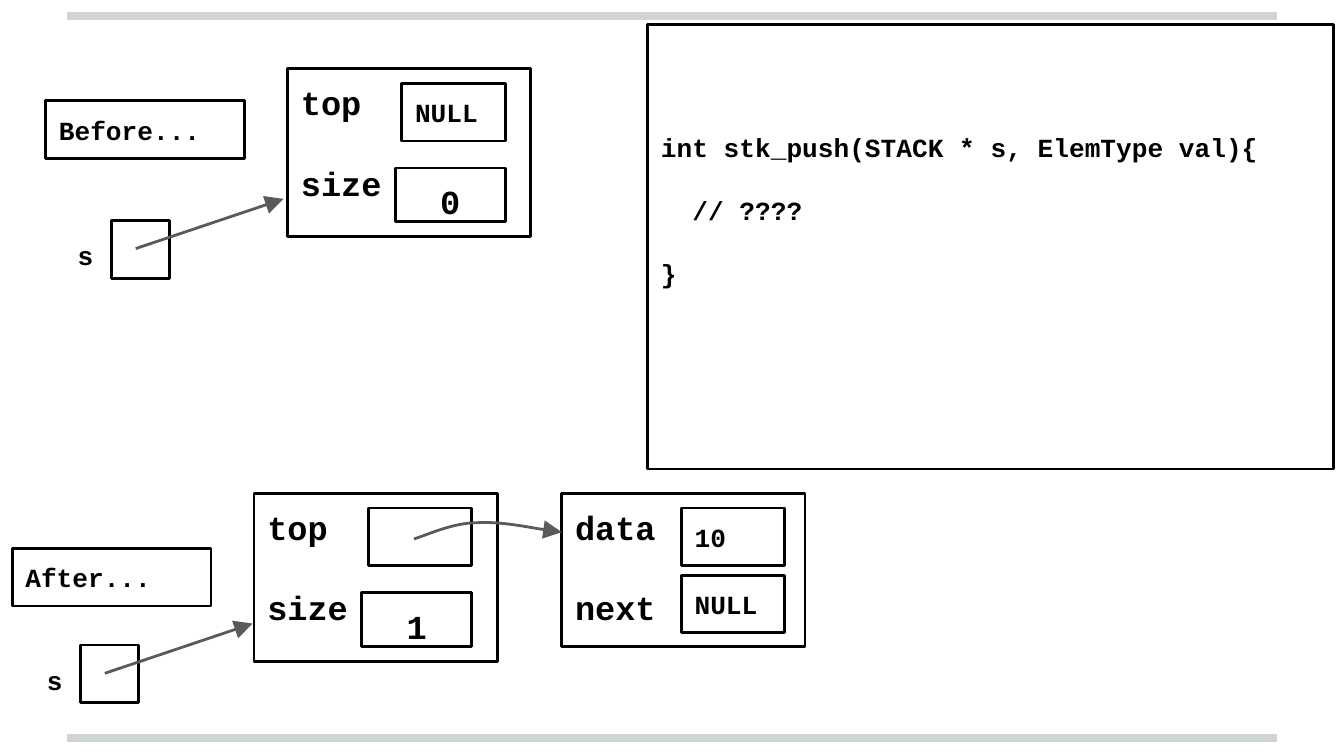
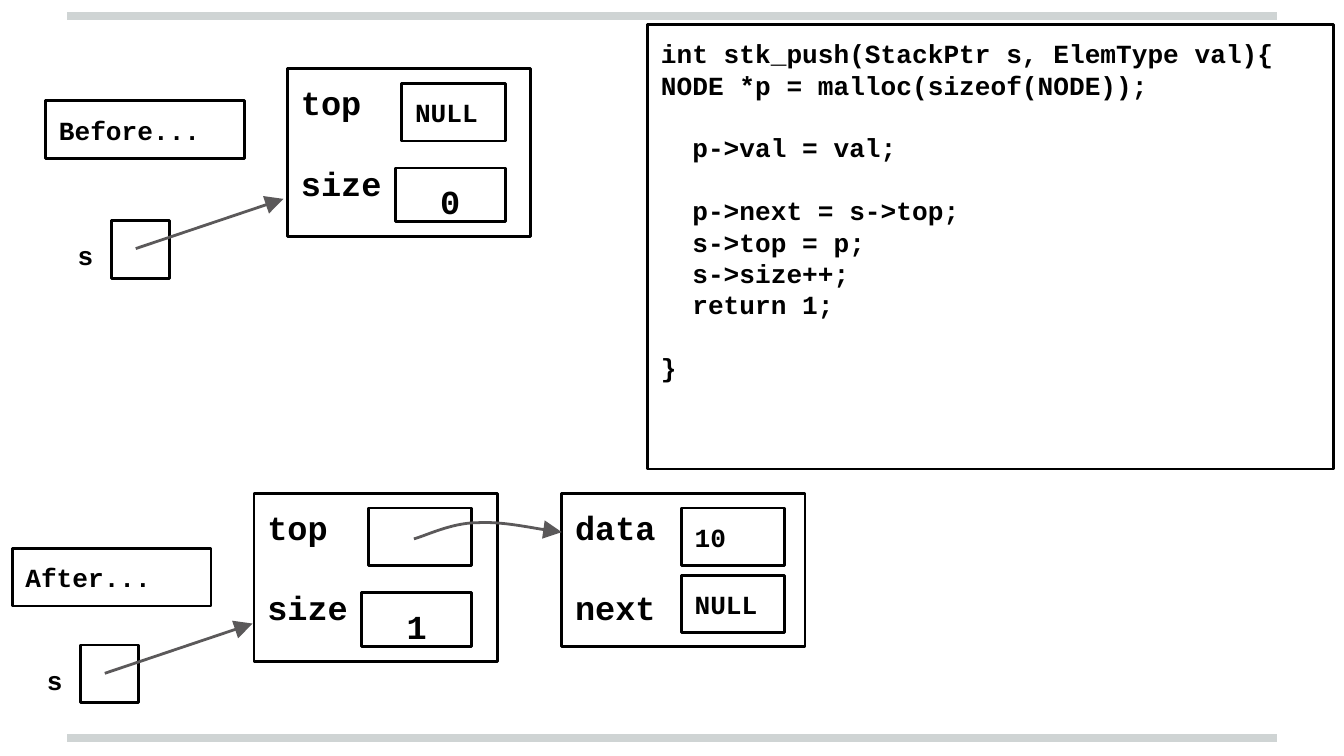
from lxml import etree
from pptx import Presentation
from pptx.dml.color import RGBColor
from pptx.enum.shapes import MSO_CONNECTOR, MSO_SHAPE
from pptx.enum.text import MSO_ANCHOR, PP_ALIGN
from pptx.oxml.ns import qn
from pptx.util import Inches, Pt

STRAIGHT = MSO_CONNECTOR.STRAIGHT
RECT = MSO_SHAPE.RECTANGLE
TOP = MSO_ANCHOR.TOP
LEFT, CENTER = PP_ALIGN.LEFT, PP_ALIGN.CENTER

COLORS = {"ink": "000000", "arrow": "5B595A", "rule": "CFD4D4"}
FONT = "Courier New"
LINE_PITCH = 1.2
INSET = 0.1
CELL_W, CELL_H = 0.77, 0.43

PUSH_STUB = """


int stk_push(STACK * s, ElemType val){

  // ????

}"""
PUSH_SOLUTION = """int stk_push(StackPtr s, ElemType val){
NODE *p = malloc(sizeof(NODE));

  p->val = val;

  p->next = s->top;
  s->top = p;
  s->size++;
  return 1;

}"""


def color(name):
    """Return the named palette colour."""
    return RGBColor.from_string(COLORS[name])


def style_line(shape, name, width):
    """Set the colour and width of a line or outline."""
    shape.line.color.rgb = color(name)
    shape.line.width = Pt(width)


def add_arrowhead(shape):
    """Put a large triangle at the end of a line."""
    outline = shape.line._get_or_add_ln()
    etree.SubElement(outline, qn("a:tailEnd"), type="triangle", w="lg", len="lg")


def write_lines(frame, text, size, align=LEFT):
    """Write text line by line, turning empty lines into spacing."""
    frame.word_wrap = True
    frame.vertical_anchor = TOP
    frame.margin_left = frame.margin_right = Inches(INSET)
    frame.margin_top = frame.margin_bottom = Inches(INSET)
    pitch = Pt(size * LINE_PITCH)
    skipped, started = 0, False
    for line in text.split("\n"):
        if not line:
            skipped += 1
            continue
        paragraph = frame.add_paragraph() if started else frame.paragraphs[0]
        if started:
            paragraph.space_before = pitch * skipped
        else:
            frame.margin_top = Inches(INSET) + pitch * skipped
        paragraph.alignment = align
        paragraph.line_spacing = 1.0
        run = paragraph.add_run()
        run.text = line
        run.font.name = FONT
        run.font.size = Pt(size)
        run.font.bold = True
        run.font.color.rgb = color("ink")
        skipped, started = 0, True


def add_box(slide, x, y, width, height, text="", size=14, align=LEFT):
    """Add an outlined box with optional text."""
    box = slide.shapes.add_shape(RECT, Inches(x), Inches(y), Inches(width), Inches(height))
    box.shadow.inherit = False
    box.fill.background()
    style_line(box, "ink", 1.5)
    if text:
        write_lines(box.text_frame, text, size, align)


def add_line(slide, start, end, name, width):
    """Add a straight line without a shadow."""
    line = slide.shapes.add_connector(STRAIGHT, *(Inches(v) for v in (*start, *end)))
    style_line(line, name, width)
    etree.SubElement(line.element.spPr, qn("a:effectLst"))
    return line


def add_curved_arrow(slide, start, controls):
    """Add a curved arrow through cubic control points."""
    builder = slide.shapes.build_freeform(Inches(start[0]), Inches(start[1]))
    builder.add_line_segments([(Inches(x), Inches(y)) for x, y in controls], close=False)
    curve = builder.convert_to_shape()
    curve.shadow.inherit = False
    curve.fill.background()
    style_line(curve, "arrow", 1.5)
    add_arrowhead(curve)
    segments = list(curve.element.iter(qn("a:lnTo")))
    for first in range(0, len(segments), 3):
        bezier = etree.Element(qn("a:cubicBezTo"))
        segments[first].addprevious(bezier)
        for segment in segments[first:first + 3]:
            bezier.append(segment[0])
            segment.getparent().remove(segment)


def add_stack(slide, x, y, top_value, size_value):
    """Draw the stack record with its top and size fields."""
    add_box(slide, x, y, 1.81, 1.25, "top\n\nsize", 18)
    add_box(slide, x + 0.85, y + 0.11, CELL_W, CELL_H, top_value)
    add_box(slide, x + 0.8, y + 0.74, 0.82, 0.4, size_value, 18, CENTER)


def add_node(slide, x, y):
    """Draw the list node with its data and next fields."""
    add_box(slide, x, y, 1.81, 1.14, "data\n\nnext", 18)
    for row, value in enumerate(("10", "NULL")):
        add_box(slide, x + 0.89, y + 0.11 + 0.5 * row, CELL_W, CELL_H, value)


def add_pointer(slide, x, y):
    """Draw the pointer s and its arrow to the stack."""
    label = slide.shapes.add_textbox(Inches(x - 0.35), Inches(y + 0.04), Inches(0.4), Inches(0.29))
    write_lines(label.text_frame, "s", 14)
    add_box(slide, x, y, CELL_H, CELL_H)
    add_arrowhead(add_line(slide, (x + 0.18, y + 0.21), (x + 1.28, y - 0.16), "arrow", 1.5))


def add_state(slide, x, y, caption, caption_y, pointer_x, top_value, size_value):
    """Draw one state of the stack with its caption and pointer."""
    add_stack(slide, x, y, top_value, size_value)
    add_box(slide, x - 1.8, y + caption_y, 1.48, CELL_H, caption)
    add_pointer(slide, x + pointer_x, y + 1.13)


def add_push_slide(prs, layout, code):
    """Add a slide showing the stack before and after a push."""
    slide = prs.slides.add_slide(layout)
    add_state(slide, 2.14, 0.51, "Before...", 0.24, -1.31, "NULL", "0")
    add_state(slide, 1.89, 3.67, "After...", 0.41, -1.29, "", "1")
    add_node(slide, 4.18, 3.67)
    add_curved_arrow(slide, (3.08, 4.01), [
        (3.16, 3.99), (3.36, 3.89), (3.55, 3.89),
        (3.73, 3.88), (4.07, 3.95), (4.18, 3.96),
    ])
    add_box(slide, 4.82, 0.18, 5.1, 3.31, code)
    return slide


def add_layout_rules(slide, layout):
    """Place the top and bottom rules on the shared layout."""
    for y in (5.49, 0.12):
        rule = add_line(slide, (0.5, y), (9.5, y), "rule", 4)
        layout.shapes.element.append(rule.element)


def main():
    """Build and save the two slides."""
    prs = Presentation()
    prs.slide_width = Inches(10)
    prs.slide_height = Inches(10) * 9 // 16
    layout = prs.slide_layouts[6]
    slides = [add_push_slide(prs, layout, code) for code in (PUSH_STUB, PUSH_SOLUTION)]
    add_layout_rules(slides[0], layout)
    prs.save("out.pptx")


if __name__ == "__main__":
    main()
